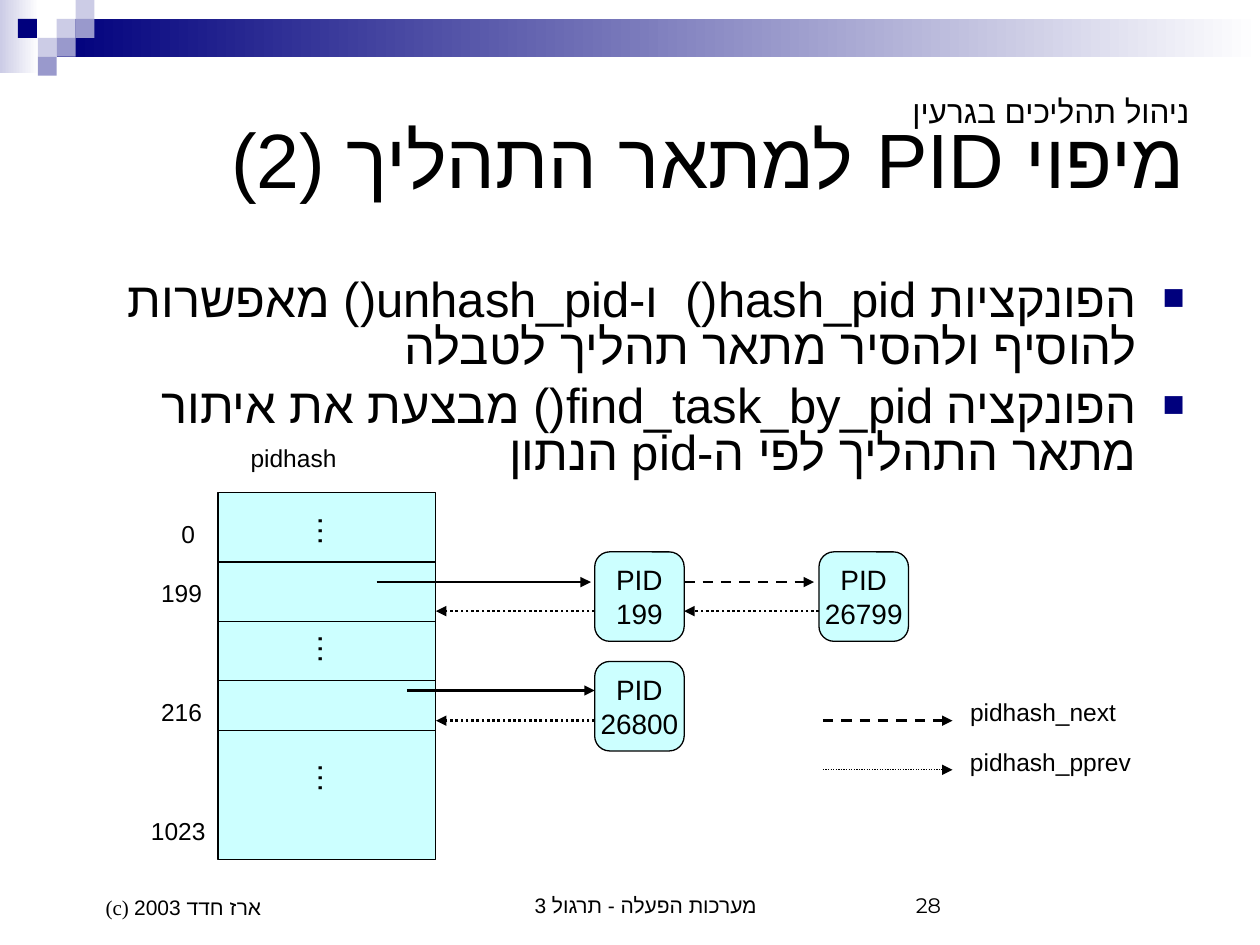
from dataclasses import dataclass
from lxml.etree import SubElement
from pptx import Presentation
from pptx.dml.color import RGBColor as RGB
from pptx.enum.dml import MSO_LINE as Dash
from pptx.enum.shapes import MSO_CONNECTOR as Conn, MSO_SHAPE as Kind
from pptx.enum.text import MSO_ANCHOR as Anchor, PP_ALIGN as Align
from pptx.oxml.ns import qn
from pptx.util import Inches, Pt


@dataclass(frozen=True)
class Theme:
    ink: str = "000000"
    navy: str = "00007D"
    lilac: str = "9999CC"
    pale: str = "CCCCE6"
    white: str = "FFFFFF"
    cell: str = "CCFFFF"
    font: str = "Arial"
    serif: str = "Times New Roman"
    digits: str = "Montserrat"
    title: int = 44
    body: int = 28
    sub: int = 18
    node: int = 16
    label: int = 14
    foot: int = 12


T = Theme()

TITLE = "מיפוי PID למתאר התהליך (2)"
TOPIC = "ניהול תהליכים בגרעין"
POINTS = [
    "הפונקציות hash_pid()  ו-unhash_pid() מאפשרות להוסיף ולהסיר מתאר תהליך לטבלה",
    "הפונקציה find_task_by_pid() מבצעת את איתור מתאר התהליך לפי ה-pid הנתון",
]

# Banner: gradient bars (box, end colour), then tiles (column, row, colour)
BARS = [((0, 0, 0.31, 0.58), T.pale), ((0.45, 0.15, 9.55, 0.3), T.navy)]
TILE = 0.15
TILES = [(3, 1, T.pale), (4, 0, T.pale), (4, 1, T.lilac), (2, 2, T.pale),
         (0.95, 1, T.navy), (3, 2, T.lilac), (2, 3, T.lilac)]

# Hash table: left and right edge, row edges
LEFT, RIGHT = 1.73, 3.46
EDGES = [3.91, 4.46, 4.93, 5.4, 5.8, 6.82]
DOTS = [3.99, 4.93, 5.95]
LABELS = [("pidhash", 1.89, 3.47), ("0", 1.34, 4.07), ("199", 1.18, 4.54),
          ("216", 1.18, 5.48), ("1023", 1.1, 6.43),
          ("pidhash_next", 7.6, 5.48), ("pidhash_pprev", 7.6, 5.88)]

# Process nodes: two columns, two rows
SIDE = 0.71
COLS, ROWS = (4.72, 6.5), (4.38, 5.25)
NODES = [("199", 0, 0), ("26799", 1, 0), ("26800", 0, 1)]
NEXT, PREV = 0.24, 0.47  # heights of the two links below a node's top
KEY = (6.53, 7.56)
(A, B), (TOP, LOW) = COLS, ROWS
ARROWS = [  # from x, to x, y, width, dash
    (2.99, A - 0.03, TOP + NEXT, 1.5, None),
    (A, RIGHT, TOP + PREV, 1.5, Dash.ROUND_DOT),
    (A + SIDE, B - 0.04, TOP + NEXT, 1.5, Dash.DASH),
    (B, A + SIDE, TOP + PREV, 1.5, Dash.ROUND_DOT),
    (5.12, 5.12, LOW + SIDE - 0.01, 0.75, None),
    (3.23, A, LOW + NEXT - 0.01, 1.5, None),
    (A, RIGHT, LOW + PREV, 1.5, Dash.ROUND_DOT),
    (*KEY, LOW + PREV, 1.5, Dash.DASH),
    (*KEY, 6.11, 0.75, Dash.ROUND_DOT),
]

FOOT = [  # text, box, alignment, font, indent
    ("מערכות הפעלה - תרגול 3", (3.42, 6.83, 3.17, 0.5), Align.CENTER, T.serif, 0.24),
    ("28", (7.17, 6.83, 2.33, 0.5), Align.LEFT, T.digits, 0),
    ("(c) ארז חדד 2003", (0.5, 6.83, 2.33, 0.52), Align.LEFT, T.serif, 0.24),
]

deck = Presentation()
deck.slide_width, deck.slide_height = Inches(10), Inches(7.5)
slide = deck.slides.add_slide(deck.slide_layouts[5])
shapes = slide.shapes


def inch(vals):
    return [Inches(v) for v in vals]


def write(shape, lines, size, align=Align.LEFT, font=T.font, anchor=Anchor.TOP,
          rtl=True, wrap=True):
    frame = shape.text_frame
    frame.text = "\n".join(lines)
    frame.word_wrap, frame.vertical_anchor = wrap, anchor
    for para in frame.paragraphs:
        para.alignment = align
        if rtl:
            para._p.get_or_add_pPr().set("rtl", "1")
        for run in para.runs:
            run.font.size, run.font.name = Pt(size), font
            run.font.color.rgb = RGB.from_string(T.ink)
            SubElement(run._r.get_or_add_rPr(), qn("a:cs"), typeface=T.font)
    return frame


def text(box, lines, size, **style):
    return write(shapes.add_textbox(*inch(box)), lines, size, **style)


def block(box, fill, kind=Kind.RECTANGLE, line=None):
    shape = shapes.add_shape(kind, *inch(box))
    shape.shadow.inherit = False
    shape.fill.solid()
    shape.fill.fore_color.rgb = RGB.from_string(fill)
    if line:
        shape.line.color.rgb, shape.line.width = RGB.from_string(line), Pt(0.75)
    else:
        shape.line.fill.background()
    return shape


def link(x1, y1, x2, y2, width=0.75, dash=None, head=False):
    line = shapes.add_connector(Conn.STRAIGHT, *inch((x1, y1, x2, y2)))
    line.line.color.rgb, line.line.width = RGB.from_string(T.ink), Pt(width)
    if dash:
        line.line.dash_style = dash
    if head:
        SubElement(line.line._get_or_add_ln(), qn("a:tailEnd"), type="triangle")
    SubElement(line._element.spPr, qn("a:effectLst"))


def bullet(para):
    props = para._p.get_or_add_pPr()
    props.set("marL", str(Inches(0.38)))
    props.set("indent", str(-Inches(0.38)))
    SubElement(SubElement(props, qn("a:buClr")), qn("a:srgbClr"), val=T.navy)
    SubElement(props, qn("a:buSzPct"), val="75000")
    SubElement(props, qn("a:buFont"), typeface=T.font)
    SubElement(props, qn("a:buChar"), char="■")


for box, hue in BARS:
    fill = block(box, hue).fill
    fill.gradient()
    fill.gradient_angle = 180
    for stop, color in zip(fill.gradient_stops, (T.white, hue)):
        stop.color.rgb = RGB.from_string(color)
for col, row, hue in TILES:
    block((col * TILE, row * TILE, TILE, TILE), hue)

title = shapes.title
title.left, title.top, title.width, title.height = inch((0.5, 0.5, 9, 1.5))
write(title, [TITLE], T.title, align=Align.RIGHT, anchor=Anchor.MIDDLE)

body = text((0.5, 2.17, 9, 1.82), POINTS, T.body, align=Align.RIGHT)
for num, para in enumerate(body.paragraphs):
    bullet(para)
    para.line_spacing = 0.8
    para.space_before = Pt(7 if num else 0)
text((7.13, 0.68, 2.41, 0.4), [TOPIC], T.sub, align=Align.RIGHT, wrap=False)

block((LEFT, EDGES[0], RIGHT - LEFT, EDGES[-1] - EDGES[0]), T.cell, line=T.ink)
for y in EDGES[1:-1]:
    link(LEFT, y, RIGHT, y)
for word, x, y in LABELS:
    text((x, y, 0.3 + 0.11 * len(word), 0.34), [word], T.label, wrap=len(word) > 1)
for y in DOTS:
    frame = text((2.33, y, 0.5, 0.39), ["…"], T.sub)
    frame.margin_left = frame.margin_right = Inches(0.05)
    frame.margin_top = frame.margin_bottom = Inches(0.1)
    frame._txBody.bodyPr.set("vert", "eaVert")

for pid, col, row in NODES:
    node = block((COLS[col], ROWS[row], SIDE, SIDE), T.cell, Kind.ROUNDED_RECTANGLE, T.ink)
    write(node, ["PID", pid], T.node, align=Align.CENTER, anchor=Anchor.MIDDLE, wrap=False)
for x1, x2, y, width, dash in ARROWS:
    link(x1, y, x2, y, width, dash, head=True)

for words, box, align, font, indent in FOOT:
    frame = text(box, [words], T.foot, align=align, font=font, anchor=Anchor.BOTTOM, rtl=False)
    frame.paragraphs[0]._p.get_or_add_pPr().set("marL", str(Inches(indent)))

deck.save("out.pptx")
